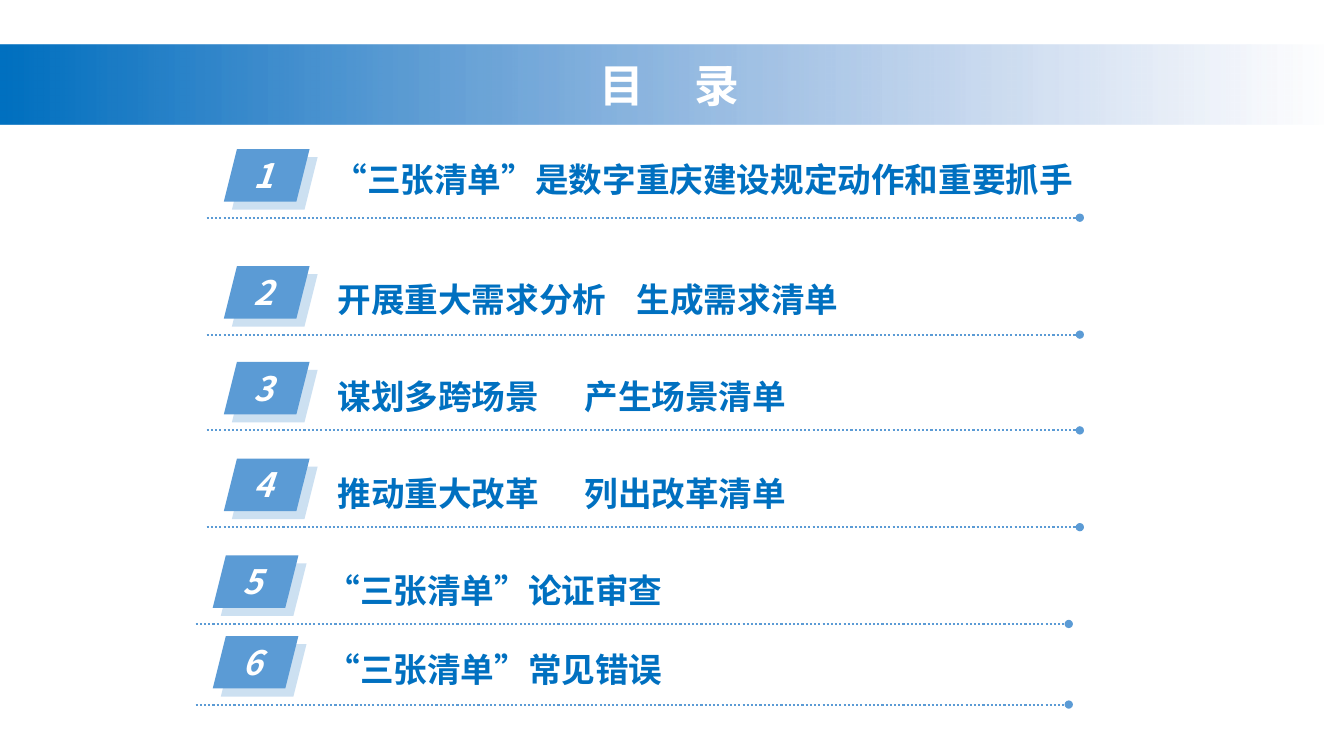
import pptx
import pptx.util
import pptx.dml.color
import pptx.enum.dml
import pptx.enum.shapes
import pptx.enum.text
import pptx.oxml.ns
from dataclasses import dataclass
from lxml import etree

Inches, Pt = pptx.util.Inches, pptx.util.Pt
RGB = pptx.dml.color.RGBColor.from_string
SHAPE = pptx.enum.shapes.MSO_SHAPE
ALIGN = pptx.enum.text.PP_ALIGN
ANCHOR = pptx.enum.text.MSO_ANCHOR
qn = pptx.oxml.ns.qn


@dataclass(frozen=True)
class Theme:
    font: str = "Noto Sans CJK SC"
    deep: str = "0070C0"
    fade: str = "4472C4"
    accent: str = "5B9BD5"
    white: str = "FFFFFF"
    title: int = 32
    body: int = 24
    space: float = 0.224  # width of a space in ems


T = Theme()

# badge left, badge top, label offset from the badge, label, gap width in spaces
ITEMS = [
    (2.22, 1.48, (0.99, 0.05), "“三张清单”是数字重庆建设规定动作和重要抓手", 1),
    (2.22, 2.64, (1.03, 0.08), "开展重大需求分析 生成需求清单", 4),
    (2.22, 3.59, (1.03, 0.09), "谋划多跨场景 产生场景清单", 6),
    (2.22, 4.55, (1.03, 0.09), "推动重大改革 列出改革清单", 6),
    (2.11, 5.51, (1.03, 0.09), "“三张清单”论证审查", 1),
    (2.11, 6.31, (1.03, 0.08), "“三张清单”常见错误", 1),
]


def write(tf, text, size, color, align, gap=1, italic=False):
    """Write one paragraph; its space is widened to the given number of spaces."""
    p = tf.paragraphs[0]
    p.alignment = align
    for part in text.replace(" ", "| |").split("|"):
        r = p.add_run()
        r.text = part
        r.font.name, r.font.size = T.font, Pt(size)
        r.font.bold, r.font.italic = True, italic
        r.font.color.rgb = RGB(color)
        rPr = r._r.get_or_add_rPr()
        ea = etree.Element(qn("a:ea"), typeface=T.font)
        rPr.find(qn("a:latin")).addnext(ea)
        if part == " ":
            rPr.set("spc", str(round((gap - 1) * T.space * size * 100)))
    return p


def set_alpha(shape, percent):
    """Make the last colour of a shape's fill transparent."""
    color = list(shape._element.spPr.iter(qn("a:srgbClr")))[-1]
    etree.SubElement(color, qn("a:alpha"), val=str(percent * 1000))


def add_text(s, x, y, w, h):
    tf = s.shapes.add_textbox(Inches(x), Inches(y), Inches(w), Inches(h)).text_frame
    tf.word_wrap = True
    return tf


def title_band(s, x, y, w, h):
    sp = s.shapes.title
    sp.left, sp.top, sp.width, sp.height = map(Inches, (x, y, w, h))
    sp.fill.gradient()
    sp.fill.gradient_angle = 0
    for stop, color, pos in zip(sp.fill.gradient_stops, (T.deep, T.fade), (0, 0.99)):
        stop.color.rgb = RGB(color)
        stop.position = pos
    set_alpha(sp, 0)
    tf = sp.text_frame
    tf.auto_size = pptx.enum.text.MSO_AUTO_SIZE.NONE
    tf.vertical_anchor = ANCHOR.MIDDLE
    write(tf, "目 录", T.title, T.white, ALIGN.CENTER, gap=5)


def badge(s, x, y, number):
    # Pale offset copy behind, solid one in front
    for offset, alpha in ((0.08, 31), (0, 100)):
        sp = s.shapes.add_shape(SHAPE.PARALLELOGRAM, Inches(x + offset),
                                Inches(y + offset), Inches(0.85), Inches(0.52))
        sp.shadow.inherit = False
        sp.fill.solid()
        sp.fill.fore_color.rgb = RGB(T.accent)
        sp.line.fill.background()
        if alpha < 100:
            set_alpha(sp, alpha)
    tf = add_text(s, x + 0.2, y - 0.01, 0.47, 0.52)
    p = write(tf, str(number), T.body, T.white, ALIGN.LEFT, italic=True)
    p.line_spacing = Pt(30)


def dotted_rule(s, x, y, w):
    c = s.shapes.add_connector(pptx.enum.shapes.MSO_CONNECTOR.STRAIGHT,
                               Inches(x), Inches(y), Inches(x + w), Inches(y))
    c.line.color.rgb = RGB(T.accent)
    c.line.width = Pt(1.5)
    c.line.dash_style = pptx.enum.dml.MSO_LINE.ROUND_DOT
    etree.SubElement(c.line._get_or_add_ln(), qn("a:tailEnd"), type="oval")
    etree.SubElement(c._element.spPr, qn("a:effectLst"))


def contents_row(s, number, x, y, offset, label, gap):
    dx, dy = offset
    tf = add_text(s, x + dx, y + dy, 7.6, 0.5)
    write(tf, label, T.body, T.deep, ALIGN.JUSTIFY, gap)
    dotted_rule(s, x - 0.17, y + 0.68, 8.66)
    badge(s, x, y, number)


def main():
    prs = pptx.Presentation()
    prs.slide_width, prs.slide_height = Inches(13.33), Inches(7.5)
    s = prs.slides.add_slide(prs.slide_layouts[5])
    title_band(s, 0, 0.44, 13.28, 0.79)
    for number, item in enumerate(ITEMS, 1):
        contents_row(s, number, *item)
    prs.save("out.pptx")


if __name__ == "__main__":
    main()
